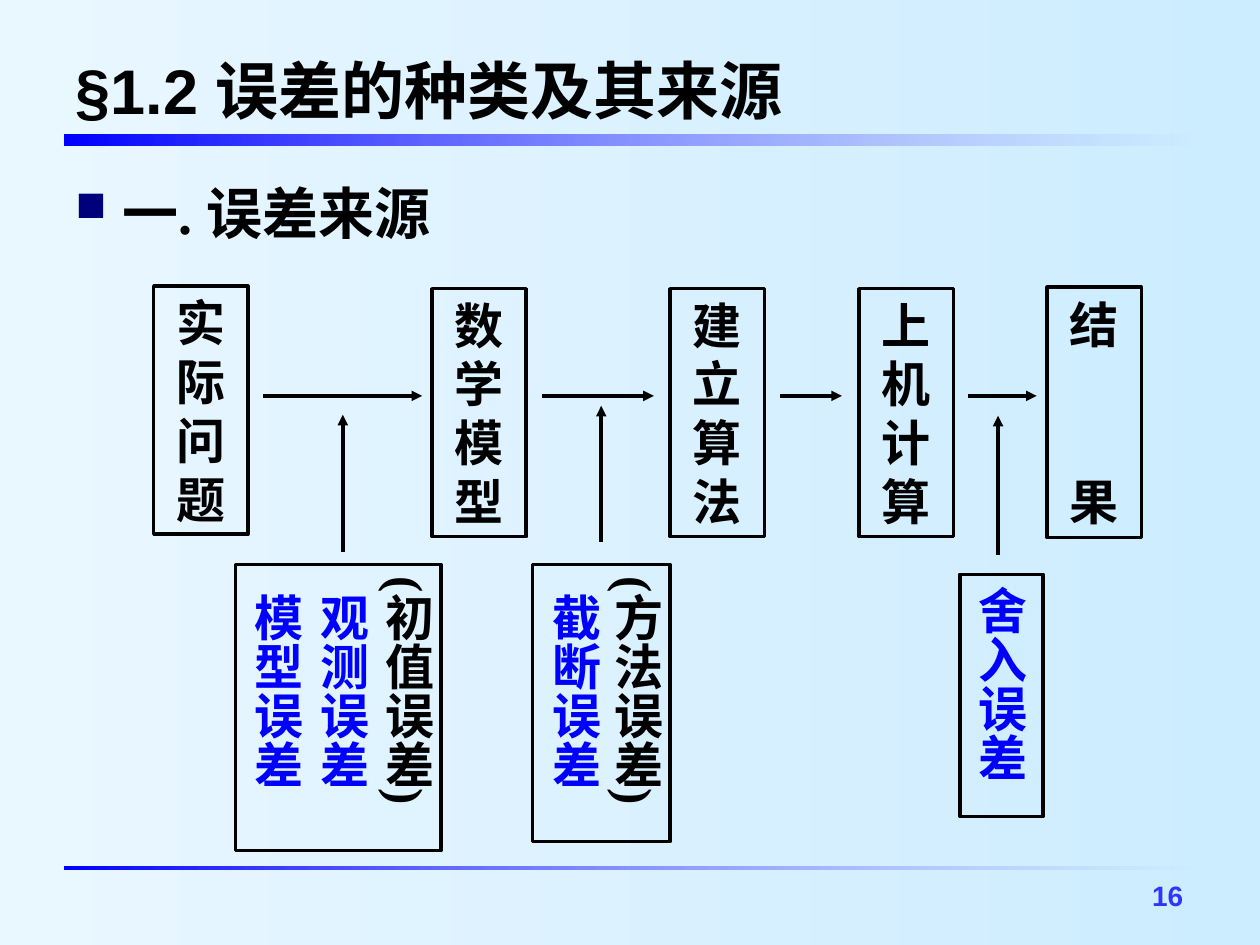
from lxml import etree
from pptx import Presentation
from pptx import util as u
from pptx.dml.color import RGBColor
from pptx.enum import shapes, text
from pptx.oxml.ns import qn

COLORS = {
    "sky": "E9F7FF", "pale": "CCECFF", "blue": "0000FF", "violet": "6565FF",
    "number": "3333FF", "bullet": "00007D", "ink": "000000",
}
STAGES = [
    (3.1, 5.77, 5, ["实际问题"]),
    (8.71, 5.82, 5, ["数学模型"]),
    (13.51, 5.82, 5, ["建立算法"]),
    (17.32, 5.82, 5, ["上机计算"]),
    (21.11, 5.79, 5.05, ["结", "果"]),
]
ERRORS = [
    (4.75, 11.38, 4.14, 5.77, 0.85, 8.8,
     [("(初值误差)", "ink"), ("观测误差", "blue"), ("模型误差", "blue")]),
    (10.74, 11.38, 2.77, 5.59, 0.85, 7,
     [("(方法误差)", "ink"), ("截断误差", "blue")]),
    (19.35, 11.58, 1.68, 4.88, 1, 0, [("舍入误差", "blue")]),
]
FLOW_Y = 7.98
FLOW = [(5.31, 8.51), (10.92, 13.18), (15.72, 16.97), (19.51, 20.9)]
CAUSES = [(6.91, 11.13, 8.36), (12.12, 10.92, 8.18), (20.12, 11.18, 8.38)]


def rgb(name):
    return RGBColor.from_string(COLORS[name])


def child(parent, tag, **attributes):
    return etree.SubElement(parent, qn(tag), **attributes)


class Painter:
    """Holds the deck style and the slide being drawn."""

    body_font = "Times New Roman"
    head_font = "Arial"
    line_width = u.Pt(2)

    def __init__(self, page):
        self.page = page

    def style(self, para, size, font, color):
        para.font.size = u.Pt(size)
        para.font.name = font
        para.font.bold = True
        para.font.color.rgb = rgb(color)

    def gradient(self, fill, start, end):
        fill.gradient()
        fill.gradient_angle = 0
        for stop, color, position in zip(fill.gradient_stops, (start, end), (0, 1)):
            stop.color.rgb = rgb(color)
            stop.position = position

    def background(self):
        self.gradient(self.page.background.fill, "sky", "pale")

    def rectangle(self, left, top, width, height):
        box = self.page.shapes.add_shape(
            shapes.MSO_SHAPE.RECTANGLE, u.Cm(left), u.Cm(top), u.Cm(width), u.Cm(height))
        box.shadow.inherit = False
        return box

    def bar(self, top, height):
        box = self.rectangle(1.3, top, 22.8, height)
        box.line.fill.background()
        self.gradient(box.fill, "blue", "violet")
        last_color = box.fill._xPr.findall(".//" + qn("a:srgbClr"))[-1]
        child(last_color, "a:alpha", val="0")

    def title(self, words):
        box = self.page.shapes.title
        box.left, box.top, box.width, box.height = map(u.Cm, (1.27, 0.91, 22.86, 1.8))
        frame = box.text_frame
        frame.text = words
        frame.auto_size = text.MSO_AUTO_SIZE.NONE
        frame.vertical_anchor = text.MSO_ANCHOR.MIDDLE
        para = frame.paragraphs[0]
        para.alignment = text.PP_ALIGN.LEFT
        self.style(para, 36, self.head_font, "ink")

    def textbox(self, left, top, width, height, words):
        box = self.page.shapes.add_textbox(
            u.Cm(left), u.Cm(top), u.Cm(width), u.Cm(height))
        box.text_frame.word_wrap = True
        box.text_frame.text = words
        return box.text_frame

    def heading(self, words):
        para = self.textbox(1.27, 3.33, 22.86, 1.8, words).paragraphs[0]
        props = para._p.get_or_add_pPr()
        props.set("marL", str(u.Cm(0.95)))
        props.set("indent", str(-u.Cm(0.95)))
        child(child(props, "a:buClr"), "a:srgbClr", val=COLORS["bullet"])
        child(props, "a:buSzPct", val="75000")
        child(props, "a:buChar", char="■")
        para.line_spacing = 1.1
        self.style(para, 32, self.body_font, "ink")

    def number(self, words):
        frame = self.textbox(18.21, 17.35, 5.89, 1.17, words)
        frame.vertical_anchor = text.MSO_ANCHOR.BOTTOM
        frame.paragraphs[0].alignment = text.PP_ALIGN.RIGHT
        self.style(frame.paragraphs[0], 16, self.head_font, "number")

    def framed(self, left, top, width, height, lines, spacing, gap, vertical=False):
        box = self.rectangle(left, top, width, height)
        box.fill.background()
        box.line.color.rgb = rgb("ink")
        box.line.width = self.line_width
        frame = box.text_frame
        frame.word_wrap = True
        frame.auto_size = text.MSO_AUTO_SIZE.SHAPE_TO_FIT_TEXT
        frame.vertical_anchor = text.MSO_ANCHOR.MIDDLE
        if vertical:
            frame._txBody.bodyPr.set("vert", "eaVert")
            frame.margin_left = frame.margin_right = u.Cm(0.13)
            frame.margin_top = frame.margin_bottom = u.Cm(0.25)
        frame.text = "\n".join(words for words, _ in lines)
        for index, (para, (_, color)) in enumerate(zip(frame.paragraphs, lines)):
            para.alignment = text.PP_ALIGN.CENTER
            para.line_spacing = float(spacing)
            if index:
                para.space_before = u.Pt(gap)
            self.style(para, 28, self.body_font, color)

    def arrow(self, x1, y1, x2, y2):
        line = self.page.shapes.add_connector(
            shapes.MSO_CONNECTOR.STRAIGHT, u.Cm(x1), u.Cm(y1), u.Cm(x2), u.Cm(y2))
        line.line.color.rgb = rgb("ink")
        line.line.width = self.line_width
        child(line.line._get_or_add_ln(), "a:tailEnd", type="triangle")
        child(line._element.spPr, "a:effectLst")


def main():
    deck = Presentation()
    deck.slide_width, deck.slide_height = u.Cm(25.4), u.Cm(19.05)
    painter = Painter(deck.slides.add_slide(deck.slide_layouts[5]))
    painter.background()
    painter.bar(2.72, 0.22)
    painter.bar(17.46, 0.07)
    painter.number("16")
    painter.title("§1.2 误差的种类及其来源")
    painter.heading("一. 误差来源")
    for left, top, height, words in STAGES:
        painter.framed(left, top, 1.9, height, [(word, "ink") for word in words], 1, 68)
    for start, end in FLOW:
        painter.arrow(start, FLOW_Y, end, FLOW_Y)
    for left, top, width, height, spacing, gap, lines in ERRORS:
        painter.framed(left, top, width, height, lines, spacing, gap, vertical=True)
    for x, start, end in CAUSES:
        painter.arrow(x, start, x, end)
    deck.save("out.pptx")


if __name__ == "__main__":
    main()
